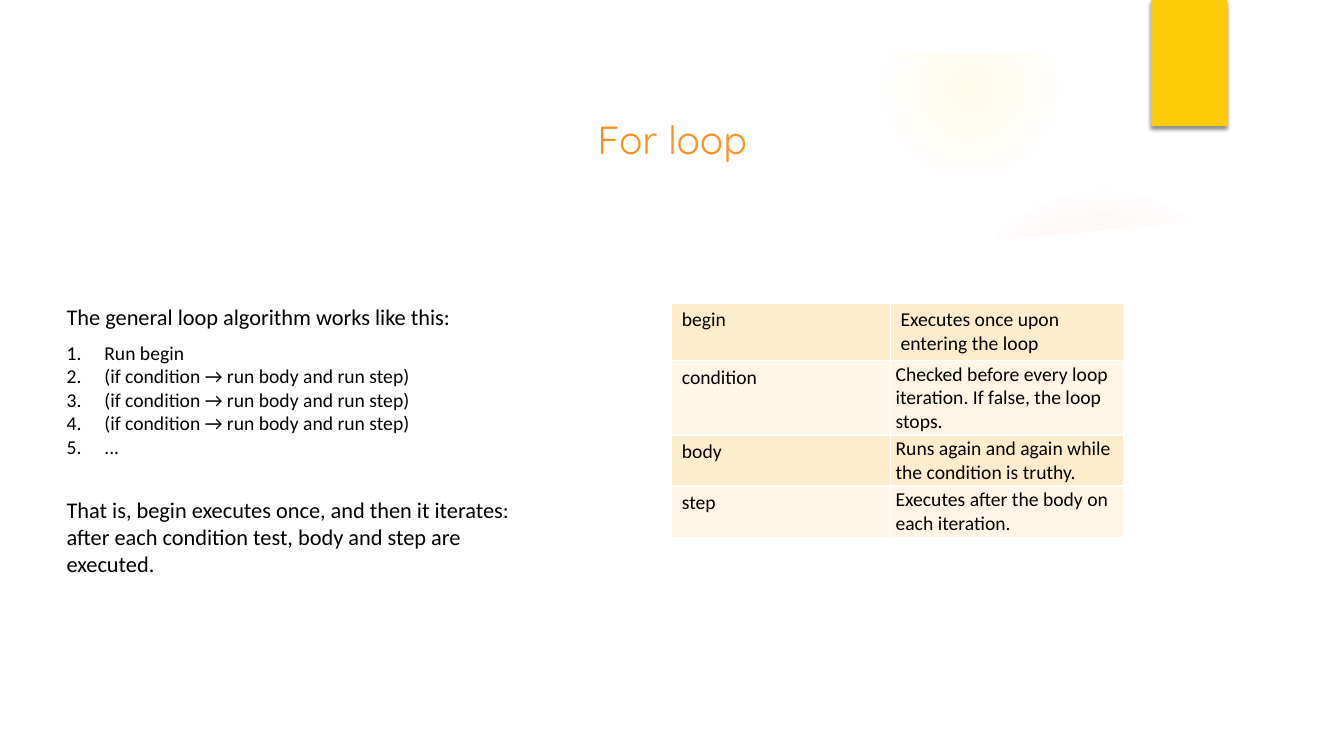
from lxml import etree
from pptx import Presentation
from pptx.dml.color import RGBColor
from pptx.enum.shapes import MSO_SHAPE
from pptx.enum.text import MSO_ANCHOR, PP_ALIGN
from pptx.oxml import parse_xml
from pptx.oxml.ns import qn
from pptx.util import Cm, Pt

RECTANGLE, OVAL, FRAME = MSO_SHAPE.RECTANGLE, MSO_SHAPE.OVAL, MSO_SHAPE.FRAME
TOP, MIDDLE, BOTTOM = MSO_ANCHOR.TOP, MSO_ANCHOR.MIDDLE, MSO_ANCHOR.BOTTOM
LEFT, CENTER = PP_ALIGN.LEFT, PP_ALIGN.CENTER
DRAWING = 'xmlns:a="http://schemas.openxmlformats.org/drawingml/2006/main"'

COLORS = {
    "white": "FFFFFF", "text": "000000", "title": "F8931D", "bar": "FFCA08",
    "yellow": "FFDF6B", "red": "E64823",
    "odd row": "FFECCC", "even row": "FFF6E7",
}
STEP = "(if condition → run body and run step)"
STEPS = ["Run begin", STEP, STEP, STEP, "..."]
LOOP_PARTS = [
    ("begin", "Executes once upon entering the loop"),
    ("condition", "Checked before every loop iteration. If false, the loop stops."),
    ("body", "Runs again and again while the condition is truthy."),
    ("step", "Executes after the body on each iteration."),
]
# Left, top, size, color, (position, opacity) stops in percent
GLOWS = [
    (23.9, 16.31, 2.74, "red", [(0, 14), (36, 7), (66, 0)]),
    (23.9, 4.65, 7.82, "red", [(0, 7), (36, 6), (69, 0)]),
    (22.23, 0, 4.45, "yellow", [(0, 14), (36, 7), (73, 0)]),
    (0, 8.05, 6.55, "red", [(0, 8), (36, 8), (72, 0)]),
    (0, 7.42, 11.63, "yellow", [(0, 11), (36, 10), (75, 0)]),
    (23.9, 16.28, 2.74, "yellow", [(0, 10), (31, 5), (66, 0)]),
]
# Thin veil along the panel edge, before it is turned
VEIL = [(23.72, 6.35), (25.9, 6.3), (29.5, 5.9), (32.74, 5.44), (32.59, 4.22),
        (30.23, 4.93), (27.89, 5.54), (25.65, 5.97), (23.62, 6.17)]
# Upper edge of the white panel, from right to left, then its lower corners
PANEL = [(32.6, 5.18), (30.48, 5.51), (29.06, 5.68), (27.64, 5.83), (26.21, 5.96),
         (24.1, 6.12), (21.34, 6.25), (17.98, 6.3), (14.2, 6.25), (10.19, 6.05),
         (6.32, 5.77), (1.27, 5.18), (1.27, 17.78), (32.6, 17.78)]


class SlideBuilder:
    def __init__(self, slide, font="Calibri"):
        self.slide = slide
        self.font = font

    def color(self, name):
        return RGBColor.from_string(COLORS[name])

    def paint(self, shape, color):
        shape.shadow.inherit = False
        shape.fill.solid()
        shape.fill.fore_color.rgb = self.color(color)
        shape.line.fill.background()

    def shape(self, kind, left, top, width, height, color):
        shape = self.slide.shapes.add_shape(kind, Cm(left), Cm(top), Cm(width), Cm(height))
        self.paint(shape, color)
        return shape

    def glow(self, left, top, size, color, stops):
        """Circle fading outwards to full transparency."""
        circle = self.shape(OVAL, left, top, size, size, color)
        marks = "".join(
            f'<a:gs pos="{position * 1000}"><a:srgbClr val="{COLORS[color]}">'
            f'<a:alpha val="{opacity * 1000}"/></a:srgbClr></a:gs>'
            for position, opacity in [*stops, (100, 0)])
        gradient = parse_xml(
            f'<a:gradFill {DRAWING} rotWithShape="1"><a:gsLst>{marks}</a:gsLst>'
            '<a:path path="circle"><a:fillToRect l="50000" t="50000" r="50000" b="50000"/>'
            '</a:path></a:gradFill>')
        properties = circle.element.spPr
        properties.replace(properties.find(qn("a:solidFill")), gradient)

    def outline(self, points, color, opacity=100, rotation=0):
        start, *others = [(Cm(x), Cm(y)) for x, y in points]
        builder = self.slide.shapes.build_freeform(*start)
        builder.add_line_segments(others, close=True)
        shape = builder.convert_to_shape()
        self.paint(shape, color)
        shape.rotation = rotation
        if opacity < 100:
            tint = shape.element.spPr.find(qn("a:solidFill"))[0]
            etree.SubElement(tint, qn("a:alpha"), val=str(opacity * 1000))

    def frame(self, width, height, thickness, color):
        border = self.shape(FRAME, 0, 0, width, height, color)
        border.adjustments[0] = thickness / min(width, height)

    def shadowed_bar(self, left, top, width, height, color):
        bar = self.shape(RECTANGLE, left, top, width, height, color)
        bar.element.spPr.find(qn("a:effectLst")).append(parse_xml(
            f'<a:outerShdw {DRAWING} blurRad="{Pt(3)}" dist="{Pt(2)}" dir="5400000" '
            'rotWithShape="0"><a:srgbClr val="000000"><a:alpha val="45000"/>'
            '</a:srgbClr></a:outerShdw>'))

    def style(self, para, size, color="text", font=None, align=LEFT):
        para.alignment = align
        for span in para.runs:
            span.font.size = Pt(size)
            span.font.name = font or self.font
            span.font.color.rgb = self.color(color)

    def text(self, left, top, width, height, lines, size, anchor=TOP, numbered=False, **style):
        box = self.slide.shapes.add_textbox(Cm(left), Cm(top), Cm(width), Cm(height))
        frame = box.text_frame
        frame.word_wrap = True
        frame.vertical_anchor = anchor
        frame.text = "\n".join(lines)
        for para in frame.paragraphs:
            self.style(para, size, **style)
            if numbered:
                self.number(para)

    def number(self, para):
        properties = para._p.get_or_add_pPr()
        properties.set("marL", str(Cm(0.95)))
        properties.set("indent", str(-Cm(0.95)))
        etree.SubElement(properties, qn("a:buFont"), typeface="+mj-lt")
        etree.SubElement(properties, qn("a:buAutoNum"), type="arabicPeriod")

    def table(self, left, top, widths, row_height, rows, size):
        table = self.slide.shapes.add_table(
            len(rows), len(widths), Cm(left), Cm(top),
            Cm(sum(widths)), Cm(row_height * len(rows))).table
        for column, width in zip(table.columns, widths):
            column.width = Cm(width)
        for r, texts in enumerate(rows):
            table.rows[r].height = Cm(row_height)
            for c, words in enumerate(texts):
                cell = table.cell(r, c)
                cell.text = words
                self.style(cell.text_frame.paragraphs[0], size)
                if r and c:
                    cell.vertical_anchor = MIDDLE
                    cell.margin_left = Cm(0.13)
                    cell.margin_top = cell.margin_bottom = Cm(0.05)
                self.borders(cell)
                cell.fill.solid()
                cell.fill.fore_color.rgb = self.color("even row" if r % 2 else "odd row")

    def borders(self, cell):
        properties = cell._tc.get_or_add_tcPr()
        for side in ("lnL", "lnR", "lnT", "lnB"):
            properties.append(parse_xml(
                f'<a:{side} {DRAWING} w="{Pt(1)}"><a:solidFill>'
                f'<a:srgbClr val="{COLORS["white"]}"/></a:solidFill></a:{side}>'))


def main():
    deck = Presentation()
    deck.slide_width, deck.slide_height = Cm(33.87), Cm(19.05)
    page = SlideBuilder(deck.slides.add_slide(deck.slide_layouts[6]))

    for glow in GLOWS:
        page.glow(*glow)
    page.outline(VEIL, "white", opacity=20, rotation=350.2)
    page.outline(PANEL, "white")
    page.frame(33.87, 19.05, 1.32, "white")
    page.shadowed_bar(29.01, 0, 1.91, 3.18, "bar")

    page.text(5.33, 2.82, 23.22, 1.4, ["For loop"], 28, anchor=BOTTOM,
              color="title", font="Quicksand", align=CENTER)
    page.text(1.43, 7.52, 31.01, 0.94, ["The general loop algorithm works like this:"], 16)
    page.table(16.93, 7.64, [5.51, 5.87], 1.22, LOOP_PARTS, 14)
    page.text(1.43, 8.46, 10.52, 3.25, STEPS, 14, numbered=True)
    page.text(1.43, 12.38, 11.86, 2.31,
              ["That is, begin executes once, and then it iterates: after each "
               "condition test, body and step are executed."], 16)
    deck.save("out.pptx")


if __name__ == "__main__":
    main()
